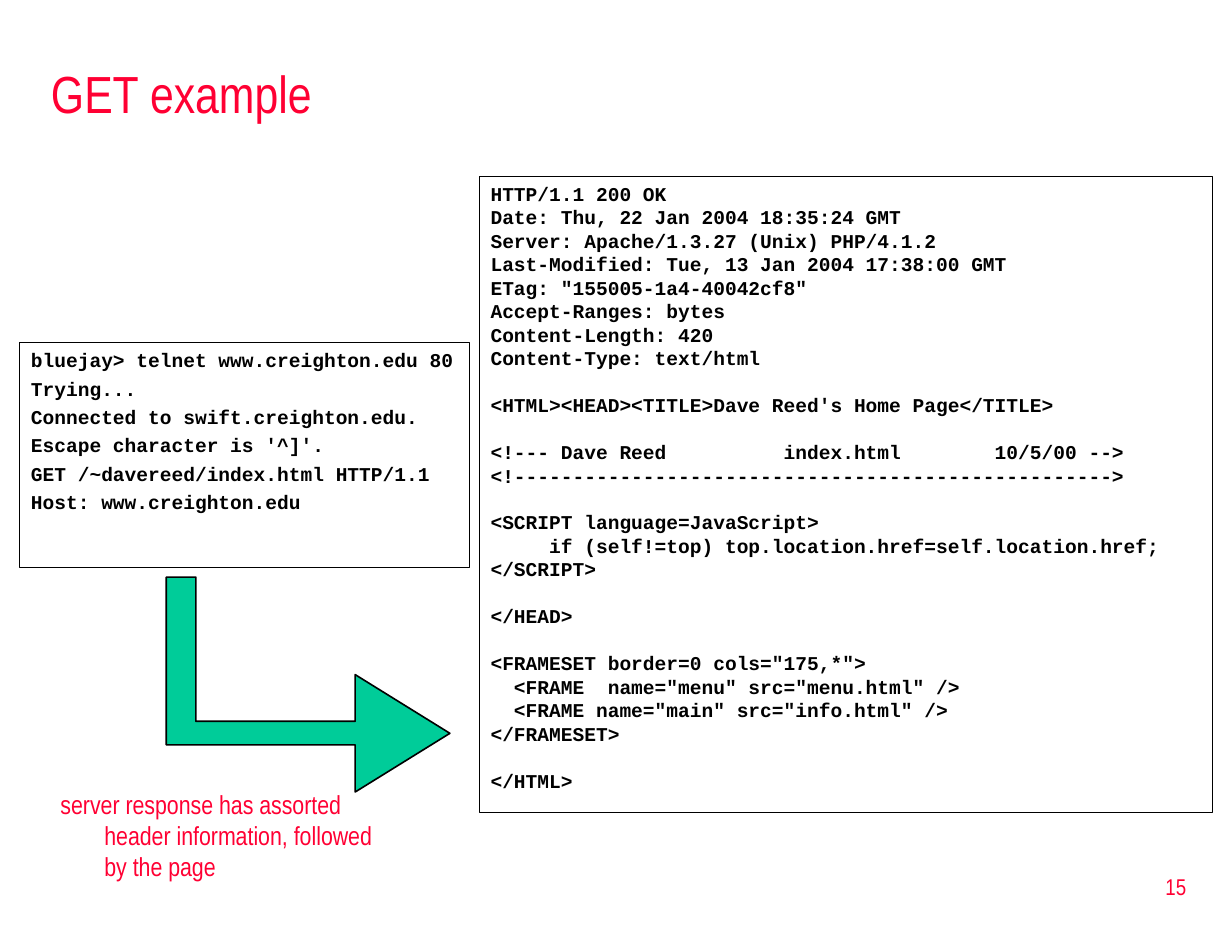
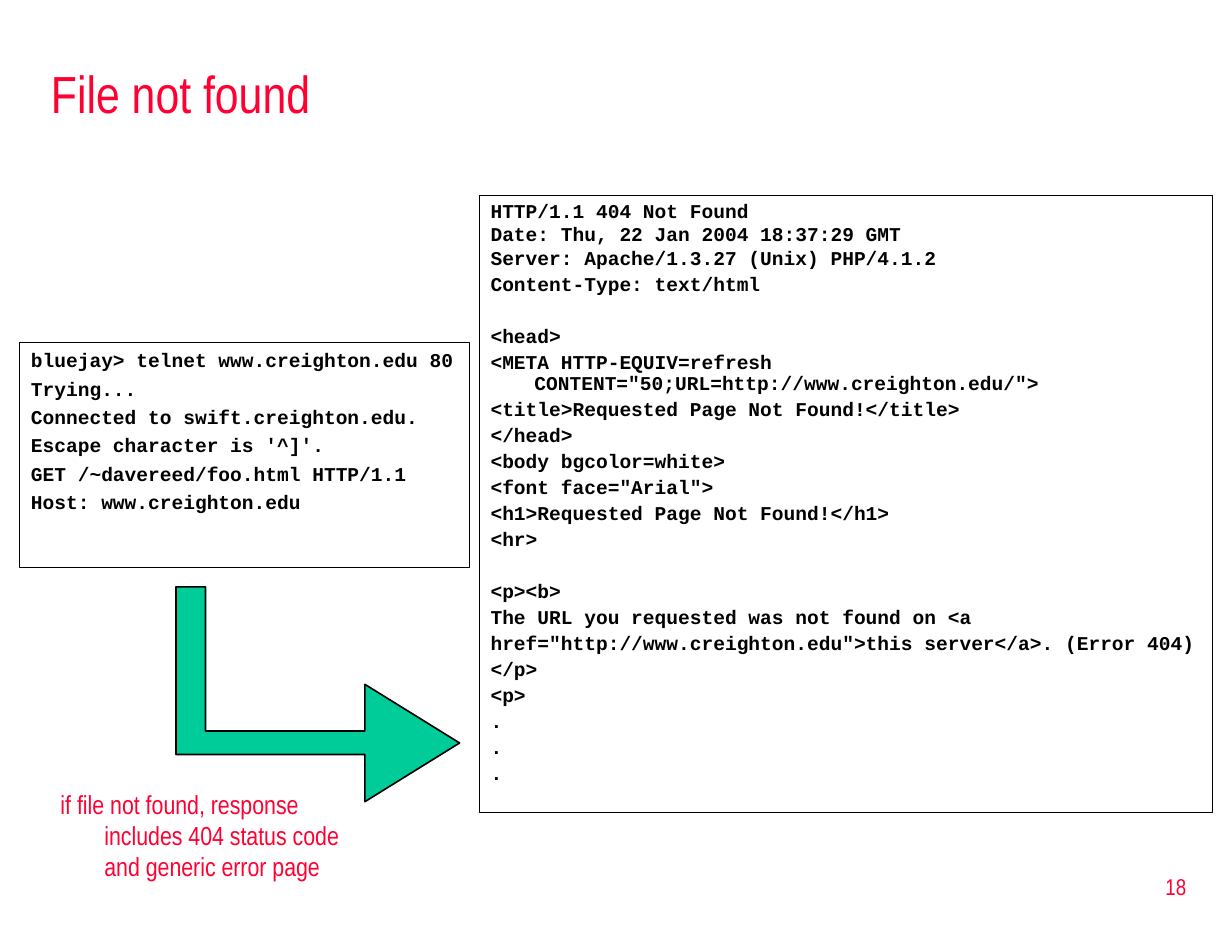
"""Builds two slides that show HTTP requests and the server responses."""
from pptx import Presentation
from pptx.dml.color import RGBColor
from pptx.enum.shapes import MSO_SHAPE
from pptx.enum.text import MSO_ANCHOR, MSO_AUTO_SIZE, PP_ALIGN
from pptx.util import Cm, Pt

COLORS = {"red": "FF0033", "green": "00CC99", "black": "000000"}
SANS, MONO = "Arial Narrow", "Courier New"
HANG = Cm(0.95)
LINE_PT = 14.4

SINGLE = (1.0, 0)
SPACED = (1.0, 3)
LOOSE = (0.9, 3)

TITLE_BOX = (0.85, 1.06, 25.19, 1.91)
REQUEST_BOX = (0.42, 7.41, 9.74, 4.87)
CAPTION_BOX = (1.06, 16.93, 7.41, 2.75)
NUMBER_BOX = (20.37, 18.52, 5.56, 1.34)
RESPONSE_LEFT, RESPONSE_WIDTH, RESPONSE_BOTTOM = 10.37, 15.88, 17.57
ARROW = [(0, 0), (0.64, 0), (0.64, 3.12), (4.09, 3.12), (4.09, 2.11),
         (6.14, 3.38), (4.09, 4.65), (4.09, 3.63), (0, 3.63)]

REQUEST = """bluejay> telnet www.creighton.edu 80
Trying...
Connected to swift.creighton.edu.
Escape character is '^]'.
GET /~davereed/{page} HTTP/1.1
Host: www.creighton.edu"""

SLIDES = [
    {
        "title": "GET example",
        "number": "15",
        "page": "index.html",
        "caption": "server response has assorted header information, "
                   "followed by the page",
        "response_top": 3.81,
        "arrow_at": (3.6, 12.49),
        "response": [(SINGLE, """HTTP/1.1 200 OK
Date: Thu, 22 Jan 2004 18:35:24 GMT
Server: Apache/1.3.27 (Unix) PHP/4.1.2
Last-Modified: Tue, 13 Jan 2004 17:38:00 GMT
ETag: "155005-1a4-40042cf8"
Accept-Ranges: bytes
Content-Length: 420
Content-Type: text/html

<HTML><HEAD><TITLE>Dave Reed's Home Page</TITLE>

<!--- Dave Reed          index.html        10/5/00 -->
<!--------------------------------------------------->

<SCRIPT language=JavaScript>
     if (self!=top) top.location.href=self.location.href;
</SCRIPT>

</HEAD>

<FRAMESET border=0 cols="175,*">
  <FRAME  name="menu" src="menu.html" />
  <FRAME name="main" src="info.html" />
</FRAMESET>

</HTML>""")],
    },
    {
        "title": "File not found",
        "number": "18",
        "page": "foo.html",
        "caption": "if file not found, response includes 404 status code "
                   "and generic error page",
        "response_top": 4.23,
        "arrow_at": (3.81, 12.7),
        "response": [
            (LOOSE, "HTTP/1.1 404 Not Found"),
            (SINGLE, """Date: Thu, 22 Jan 2004 18:37:29 GMT
Server: Apache/1.3.27 (Unix) PHP/4.1.2"""),
            (LOOSE, """Content-Type: text/html

<head>
<META HTTP-EQUIV=refresh CONTENT="50;URL=http://www.creighton.edu/">
<title>Requested Page Not Found!</title>
</head>
<body bgcolor=white>
<font face="Arial">
<h1>Requested Page Not Found!</h1>
<hr>

<p><b>
The URL you requested was not found on <a
href="http://www.creighton.edu">this server</a>. (Error 404)
</p>
<p>
.
.
."""),
        ],
    },
]


def color(name):
    return RGBColor.from_string(COLORS[name])


def style(p, font, size, name, bold=False):
    p.font.name, p.font.size, p.font.bold = font, Pt(size), bold
    p.font.color.rgb = color(name)


def hang(p):
    pPr = p._p.get_or_add_pPr()
    pPr.set("marL", str(HANG))
    pPr.set("indent", str(-HANG))


def set_title(slide, text):
    sp = slide.shapes.title
    sp.left, sp.top, sp.width, sp.height = map(Cm, TITLE_BOX)
    tf = sp.text_frame
    tf.text = text
    tf.auto_size = MSO_AUTO_SIZE.NONE
    tf.vertical_anchor = MSO_ANCHOR.MIDDLE
    p = tf.paragraphs[0]
    p.alignment = PP_ALIGN.LEFT
    style(p, SANS, 32, "red")


def add_text(slide, box, text, size):
    tf = slide.shapes.add_textbox(*map(Cm, box)).text_frame
    tf.word_wrap = True
    tf.text = text
    p = tf.paragraphs[0]
    style(p, SANS, size, "red")
    return tf, p


def add_code(slide, box, blocks):
    sp = slide.shapes.add_shape(MSO_SHAPE.RECTANGLE, *map(Cm, box))
    sp.shadow.inherit = False
    sp.fill.background()
    sp.line.color.rgb = color("black")
    sp.line.width = Pt(0.25)
    tf = sp.text_frame
    tf.word_wrap = True
    tf.vertical_anchor = MSO_ANCHOR.TOP
    p, gap = None, 0
    for (spacing, before), code in blocks:
        for line in code.splitlines():
            if not line:
                gap += LINE_PT * spacing + before
                continue
            first = p is None
            p = tf.paragraphs[0] if first else tf.add_paragraph()
            p.text = line
            p.alignment = PP_ALIGN.LEFT
            p.line_spacing = spacing
            p.space_before = Pt(0 if first else before + gap)
            hang(p)
            style(p, MONO, 12, "black", bold=True)
            gap = 0


def add_arrow(slide, at):
    points = [(Cm(at[0] + x), Cm(at[1] + y)) for x, y in ARROW]
    builder = slide.shapes.build_freeform(*points[0])
    builder.add_line_segments(points[1:], close=True)
    sp = builder.convert_to_shape()
    sp.shadow.inherit = False
    sp.fill.solid()
    sp.fill.fore_color.rgb = color("green")
    sp.line.color.rgb = color("black")
    sp.line.width = Pt(1)


def add_slide(prs, data):
    slide = prs.slides.add_slide(prs.slide_layouts[5])
    set_title(slide, data["title"])
    add_code(slide, REQUEST_BOX, [(SPACED, REQUEST.format(page=data["page"]))])
    top = data["response_top"]
    response_box = (RESPONSE_LEFT, top, RESPONSE_WIDTH, RESPONSE_BOTTOM - top)
    add_code(slide, response_box, data["response"])
    add_arrow(slide, data["arrow_at"])
    tf, p = add_text(slide, CAPTION_BOX, data["caption"], 16)
    hang(p)
    tf, p = add_text(slide, NUMBER_BOX, data["number"], 14)
    tf.vertical_anchor = MSO_ANCHOR.MIDDLE
    p.alignment = PP_ALIGN.RIGHT


def main():
    prs = Presentation()
    prs.slide_width, prs.slide_height = Cm(26.67), Cm(20.32)
    for data in SLIDES:
        add_slide(prs, data)
    prs.save("out.pptx")


if __name__ == "__main__":
    main()
